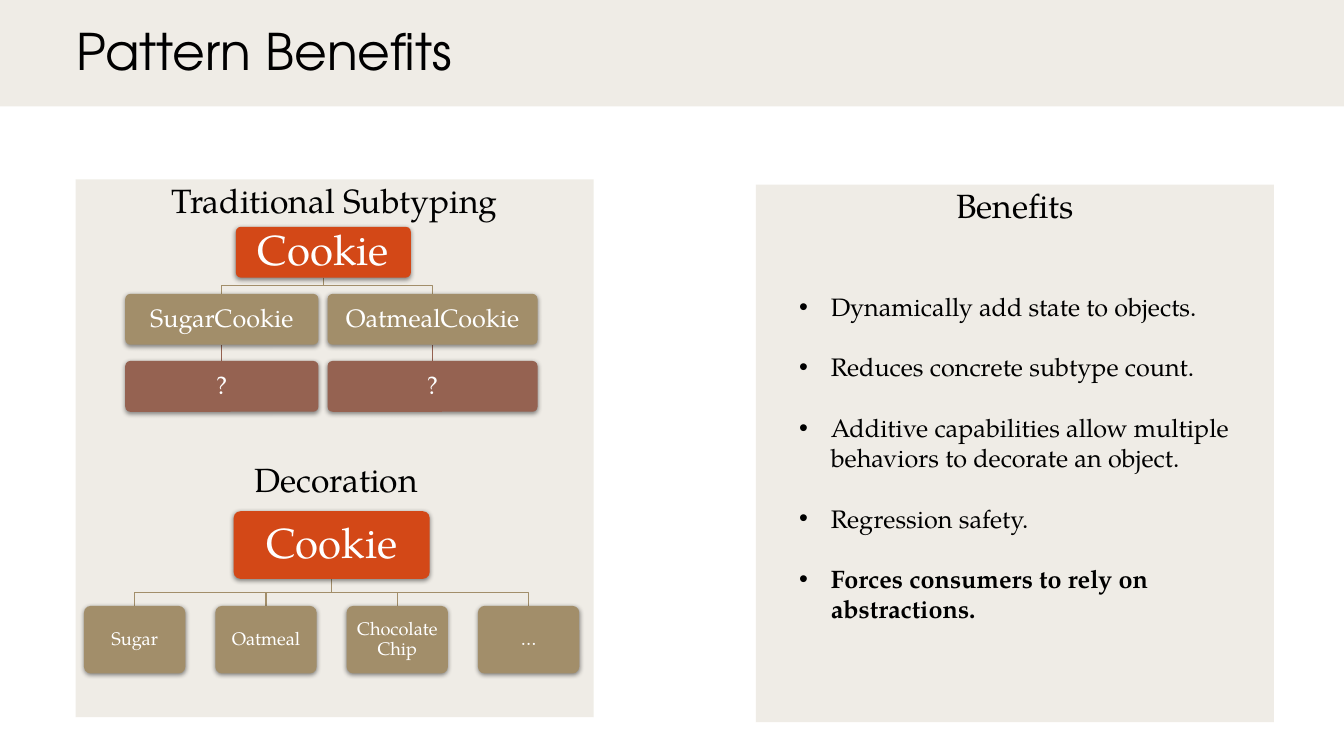
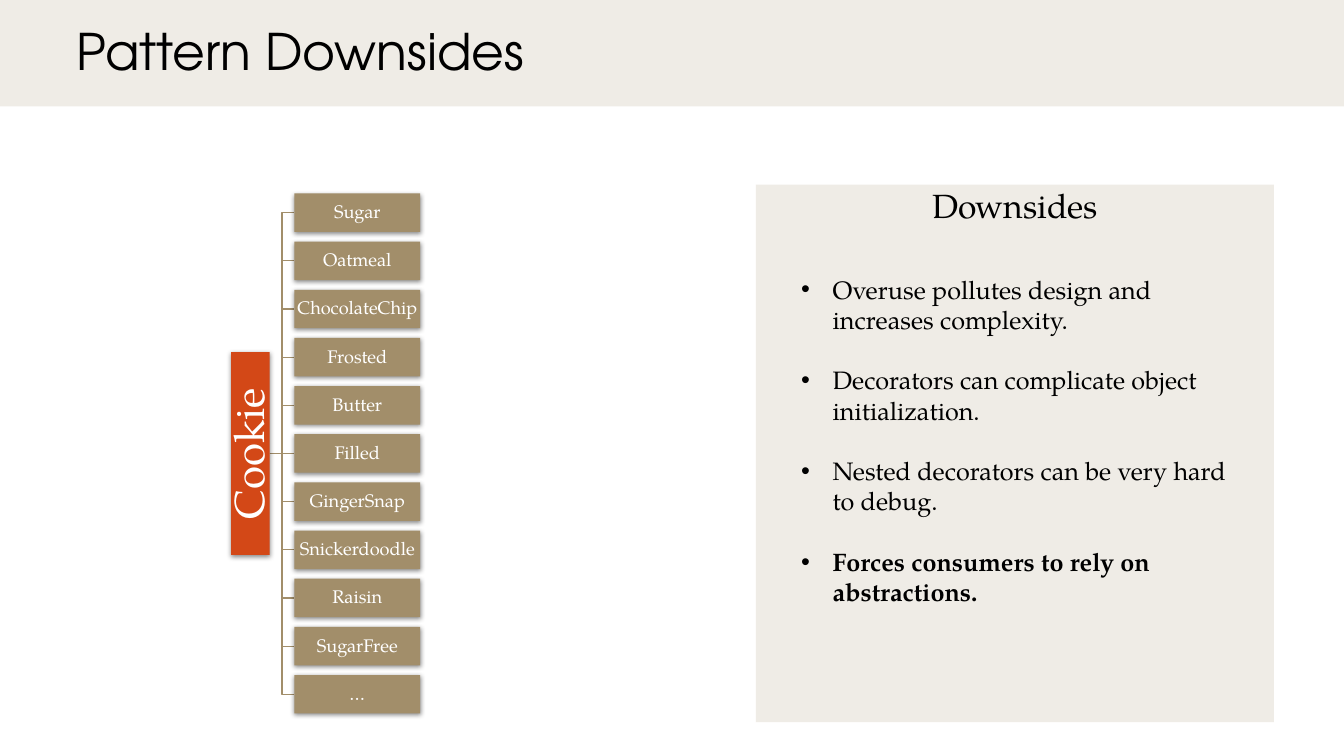
from collections import namedtuple

from lxml import etree
from pptx import Presentation
from pptx.dml.color import RGBColor
from pptx.enum import shapes, text
from pptx.oxml import ns
from pptx.util import Pt

BLACK = RGBColor(0x00, 0x00, 0x00)
WHITE = RGBColor(0xFF, 0xFF, 0xFF)
CREAM = RGBColor(0xE9, 0xE5, 0xDC)
ORANGE = RGBColor(0xD3, 0x48, 0x17)
TAN = RGBColor(0xA2, 0x8E, 0x6A)
BROWN = RGBColor(0x95, 0x62, 0x51)

TITLE_FONT = "TeX Gyre Adventor"
BODY_FONT = "TeX Gyre Pagella"
CENTER = text.PP_ALIGN.CENTER
MIDDLE = text.MSO_ANCHOR.MIDDLE
RECT = shapes.MSO_SHAPE.RECTANGLE
ROUNDED = shapes.MSO_SHAPE.ROUNDED_RECTANGLE

Box = namedtuple("Box", "x y w h")
BAND = Box(0, -2, 960, 78)
TITLE = Box(47.5, 0, 912, 78)
LEFT_PANEL = Box(54, 128.2, 370, 384)
RIGHT_PANEL = Box(540, 131.8, 370, 384)
DECORATOR_LIST = Box(165.2, 138.2, 135, 371.5)


def sub(parent, tag, **attrs):
    child = etree.SubElement(parent, ns.qn(tag))
    for name, value in attrs.items():
        child.set(name, str(value))
    return child


def add_filled(s, kind, box, color):
    sp = s.shapes.add_shape(kind, *map(Pt, box))
    sp.shadow.inherit = False
    sp.fill.solid()
    sp.fill.fore_color.rgb = color
    sp.line.fill.background()
    return sp


def add_cream(s, box):
    """Add a translucent cream rectangle."""
    sp = add_filled(s, RECT, box, CREAM)
    color = sp.fill._xPr.find(ns.qn("a:solidFill"))[0]
    sub(color, "a:alpha", val=70000)
    return sp


def add_textbox(s, box):
    tf = s.shapes.add_textbox(*map(Pt, box)).text_frame
    tf.word_wrap = True
    return tf


def style(p, size, color=BLACK, font=BODY_FONT, align=None, spacing=0.9):
    p.font.size = Pt(size)
    p.font.name = font
    p.font.color.rgb = color
    p.alignment = align
    p.line_spacing = spacing


def add_header(s, title):
    add_cream(s, BAND)
    tf = add_textbox(s, TITLE)
    tf.vertical_anchor = MIDDLE
    tf.text = title
    style(tf.paragraphs[0], 36, font=TITLE_FONT)


def add_panel(s, box, heading):
    tf = add_cream(s, box).text_frame
    tf.vertical_anchor = text.MSO_ANCHOR.TOP
    tf.word_wrap = True
    tf.text = heading
    style(tf.paragraphs[0], 24, align=CENTER)


def add_bullet_panel(s, box, heading, items, dx, dy):
    """Add a panel with bullets from (dx, dy) inside it, the last one bold."""
    add_panel(s, box, heading)
    tf = add_textbox(s, Box(box.x + dx, box.y + dy, 326, 270))
    for i, item in enumerate(items):
        p = tf.paragraphs[0] if i == 0 else tf.add_paragraph()
        p.text = item
        style(p, 18, spacing=1.0)
        p.space_after = Pt(21.6)
        p.font.bold = i == len(items) - 1
        pPr = p._p.get_or_add_pPr()
        pPr.set("marL", str(Pt(22.5)))
        pPr.set("indent", str(-Pt(22.5)))
        bullet_font = sub(pPr, "a:buFont", typeface="Arial")
        bullet = sub(pPr, "a:buChar", char="•")
        pPr.find(ns.qn("a:defRPr")).addprevious(bullet_font)
        bullet_font.addnext(bullet)


def add_node(s, box, label, color, size, kind=ROUNDED):
    sp = add_filled(s, kind, box, color)
    if kind == ROUNDED:
        sp.adjustments[0] = 0.1
    effects = sp._element.spPr.find(ns.qn("a:effectLst"))
    shadow = sub(effects, "a:outerShdw", blurRad=Pt(3.5), dist=Pt(1.1),
                 dir=90 * 60000, algn="ctr", rotWithShape=0)
    sub(sub(shadow, "a:srgbClr", val="000000"), "a:alpha", val=45000)
    tf = sp.text_frame
    tf.word_wrap = True
    tf.vertical_anchor = MIDDLE
    tf.margin_left = tf.margin_right = Pt(1)
    tf.margin_top = tf.margin_bottom = 0
    tf.text = label
    style(tf.paragraphs[0], size, WHITE, align=CENTER)
    return sp


def add_link(s, points, color):
    """Draw a thin line through the points; a straight one is a connector."""
    start, end = points[0], points[-1]
    if start[0] == end[0] or start[1] == end[1]:
        line = s.shapes.add_connector(shapes.MSO_CONNECTOR.STRAIGHT,
                                      *map(Pt, start + end))
        sub(line._element.spPr, "a:effectLst")
    else:
        pts = [(Pt(x), Pt(y)) for x, y in points]
        builder = s.shapes.build_freeform(*pts[0])
        builder.add_line_segments(pts[1:], close=False)
        line = builder.convert_to_shape()
        line.shadow.inherit = False
        line.fill.background()
    line.line.color.rgb = color
    line.line.width = Pt(0.85)


def link_down(s, parent, child, color=TAN):
    x1, y1 = parent.x + parent.w / 2, parent.y + parent.h
    x2, y2 = child.x + child.w / 2, child.y
    mid = (y1 + y2) / 2
    add_link(s, [(x1, y1), (x1, mid), (x2, mid), (x2, y2)], color)


def add_subtyping_tree(s, x, y):
    height, pitch = 36.3, 47.9
    root = Box(x + 79, y, 125, height)
    for dx, width, label in ((0, 138, "SugarCookie"),
                             (144.5, 150, "OatmealCookie")):
        subtype = Box(x + dx, y + pitch, width, height)
        unknown = subtype._replace(y=y + 2 * pitch)
        link_down(s, root, subtype)
        link_down(s, subtype, unknown, BROWN)
        add_node(s, subtype, label, TAN, 18)
        add_node(s, unknown, "?", BROWN, 18)
    add_node(s, root, "Cookie", ORANGE, 30)


def add_decoration_tree(s, x, y, labels):
    width, height, pitch = 72.4, 48.3, 93.8
    span = pitch * (len(labels) - 1) + width
    root = Box(x + (span - 140) / 2, y, 140, height)
    for i, label in enumerate(labels):
        child = Box(x + i * pitch, y + 67.6, width, height)
        link_down(s, root, child)
        add_node(s, child, label, TAN, 13)
    add_node(s, root, "Cookie", ORANGE, 30)


def add_comparison(s, box):
    """Panel that sets a subtyping tree above a decoration tree."""
    add_panel(s, box, "Traditional Subtyping")
    add_subtyping_tree(s, box.x + 35.5, box.y + 33.8)
    tf = add_textbox(s, Box(box.x + 6, box.y + 195.8, 360, 36))
    tf.vertical_anchor = MIDDLE
    tf.text = "Decoration"
    style(tf.paragraphs[0], 24, align=CENTER, spacing=1.0)
    add_decoration_tree(s, box.x + 6, box.y + 237,
                        ["Sugar", "Oatmeal", "Chocolate\vChip", "…"])


def add_decorator_list(s, box, labels):
    """Upright root on the left, linked to an evenly spaced column."""
    height, width, root_length = 27.5, 90, 144.8
    pitch = (box.h - height) / (len(labels) - 1)
    middle = box.y + box.h / 2
    root_right, left = box.x + height, box.x + box.w - width
    bend = (root_right + left) / 2
    for i, label in enumerate(labels):
        child = Box(left, box.y + i * pitch, width, height)
        y = round(child.y + height / 2, 2)
        add_link(s, [(root_right, middle), (bend, middle), (bend, y),
                     (left, y)], TAN)
        add_node(s, child, label, TAN, 13, RECT)
    root = Box(box.x + (height - root_length) / 2, middle - height / 2,
               root_length, height)
    add_node(s, root, "Cookie", ORANGE, 30, RECT).rotation = 270


def add_slide(prs, title):
    s = prs.slides.add_slide(prs.slide_layouts[6])
    add_header(s, title)
    return s


def add_benefits(prs):
    s = add_slide(prs, "Pattern Benefits")
    add_comparison(s, LEFT_PANEL)
    add_bullet_panel(s, RIGHT_PANEL, "Benefits", [
        "Dynamically add state to objects.",
        "Reduces concrete subtype count.",
        "Additive capabilities allow multiple behaviors to decorate an object.",
        "Regression safety.",
        "Forces consumers to rely on abstractions.",
    ], 23.8, 72.7)


def add_downsides(prs):
    s = add_slide(prs, "Pattern Downsides")
    add_decorator_list(s, DECORATOR_LIST, [
        "Sugar", "Oatmeal", "ChocolateChip", "Frosted", "Butter", "Filled",
        "GingerSnap", "Snickerdoodle", "Raisin", "SugarFree", "…"])
    add_bullet_panel(s, RIGHT_PANEL, "Downsides", [
        "Overuse pollutes design and increases complexity.",
        "Decorators can complicate object initialization.",
        "Nested decorators can be very hard to debug.",
        "Forces consumers to rely on abstractions.",
    ], 25.2, 60.4)


def main():
    prs = Presentation()
    prs.slide_width, prs.slide_height = Pt(960), Pt(540)
    add_benefits(prs)
    add_downsides(prs)
    prs.save("out.pptx")


if __name__ == "__main__":
    main()
